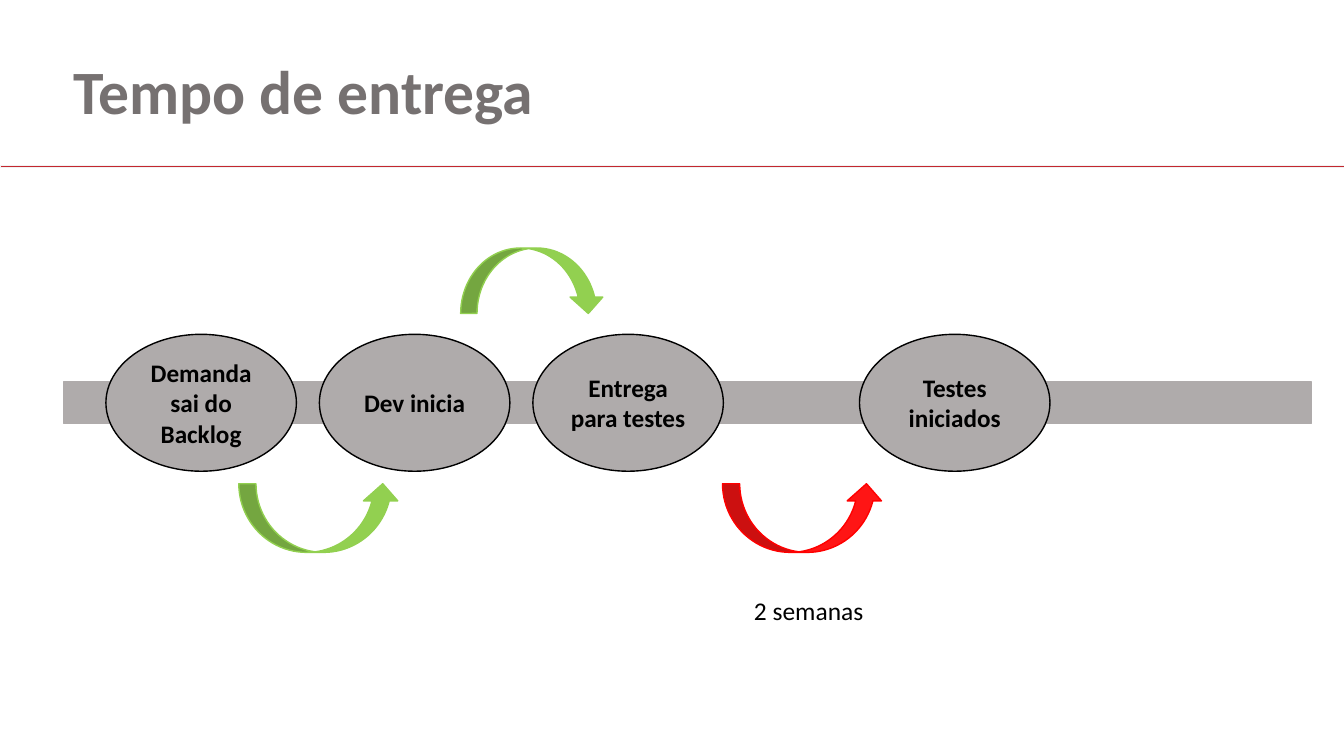
from dataclasses import dataclass

from pptx import Presentation
from pptx.dml.color import RGBColor as RGB
from pptx.enum.dml import MSO_LINE
from pptx.enum.shapes import MSO_SHAPE as SHAPE
from pptx.enum.text import MSO_ANCHOR as ANCHOR, MSO_AUTO_SIZE as AUTO_SIZE, PP_ALIGN as ALIGN
from pptx.util import Cm, Pt


@dataclass(frozen=True)
class Theme:
    font: str = "Calibri"
    title_size: float = 44
    stage_size: float = 18
    label_size: float = 18.2
    title: str = "767171"
    rule: str = "C3272F"
    rule_line: str = "F2F2F2"
    gray: str = "AFABAB"
    black: str = "000000"
    green: str = "92D050"
    red: str = "FF1515"
    red_line: str = "FF0000"


THEME = Theme()
TITLE = "Tempo de entrega"
WAIT_LABEL = "2 semanas"

# Stage name and its position on the timeline, in steps
STAGES = [
    ("Demanda sai do Backlog", 0),
    ("Dev inicia", 1),
    ("Entrega para testes", 2),
    ("Testes iniciados", 3.53),
]
# Preset, box in cm, fill, line
ARROWS = [
    (SHAPE.CURVED_UP_ARROW, (18.21, 12.19, 4.06, 1.73), THEME.red, THEME.red_line),
    (SHAPE.CURVED_UP_ARROW, (6.02, 12.19, 4.06, 1.73), THEME.green, THEME.green),
    (SHAPE.CURVED_DOWN_ARROW, (11.61, 6.25, 3.63, 1.65), THEME.green, THEME.green),
]

SLIDE_WIDTH, SLIDE_HEIGHT = 33.87, 19.05
TITLE_BOX = (1.6, 0.53, 29.21, 3.68)
RULE_BOX = (0, 4.17, SLIDE_WIDTH, 0.05)
BAR_BOX = (1.6, 9.63, 31.45, 1.04)
LABEL_BOX = (18.75, 14.63, 3.53, 1.6)
STAGE_LEFT, STAGE_STEP = 2.67, 5.38
STAGE_WIDTH, STAGE_HEIGHT = 4.8, 3.45
STAGE_TOP = BAR_BOX[1] + (BAR_BOX[3] - STAGE_HEIGHT) / 2


def lengths(box):
    return [Cm(value) for value in box]


def add_figure(slide, preset, box, fill, line, line_width=1):
    shape = slide.shapes.add_shape(preset, *lengths(box))
    shape.shadow.inherit = False
    shape.fill.solid()
    shape.fill.fore_color.rgb = RGB.from_string(fill)
    shape.line.color.rgb = RGB.from_string(line)
    shape.line.width = Pt(line_width)
    return shape


def write(shape, text, size, color, align, bold=False):
    frame = shape.text_frame
    frame.word_wrap = True
    frame.auto_size = AUTO_SIZE.NONE
    paragraph = frame.paragraphs[0]
    paragraph.text = text
    paragraph.alignment = align
    font = paragraph.font
    font.name, font.size, font.bold = THEME.font, Pt(size), bold
    font.color.rgb = RGB.from_string(color)
    return paragraph


def add_title(slide):
    title = slide.shapes.title
    title.left, title.top, title.width, title.height = lengths(TITLE_BOX)
    paragraph = write(title, TITLE, THEME.title_size, THEME.title, ALIGN.LEFT, bold=True)
    paragraph.line_spacing = 0.9
    title.text_frame.vertical_anchor = ANCHOR.MIDDLE


def add_stages(slide):
    for name, step in STAGES:
        box = (STAGE_LEFT + step * STAGE_STEP, STAGE_TOP, STAGE_WIDTH, STAGE_HEIGHT)
        stage = add_figure(slide, SHAPE.OVAL, box, THEME.gray, THEME.black)
        write(stage, name, THEME.stage_size, THEME.black, ALIGN.CENTER, bold=True)
        stage.text_frame.vertical_anchor = ANCHOR.MIDDLE


def add_wait_label(slide):
    label = slide.shapes.add_textbox(*lengths(LABEL_BOX))
    paragraph = write(label, WAIT_LABEL, THEME.label_size, THEME.black, ALIGN.JUSTIFY)
    paragraph.line_spacing = 1.3
    paragraph.space_before = Pt(10)


def main():
    presentation = Presentation()
    presentation.slide_width, presentation.slide_height = Cm(SLIDE_WIDTH), Cm(SLIDE_HEIGHT)
    slide = presentation.slides.add_slide(presentation.slide_layouts[5])
    add_title(slide)
    rule = add_figure(slide, SHAPE.RECTANGLE, RULE_BOX, THEME.rule, THEME.rule_line, 0.25)
    rule.line.dash_style = MSO_LINE.ROUND_DOT
    add_figure(slide, SHAPE.FLOWCHART_PROCESS, BAR_BOX, THEME.gray, THEME.gray)
    add_stages(slide)
    for arrow in ARROWS:
        add_figure(slide, *arrow)
    add_wait_label(slide)
    presentation.save("out.pptx")


if __name__ == "__main__":
    main()
